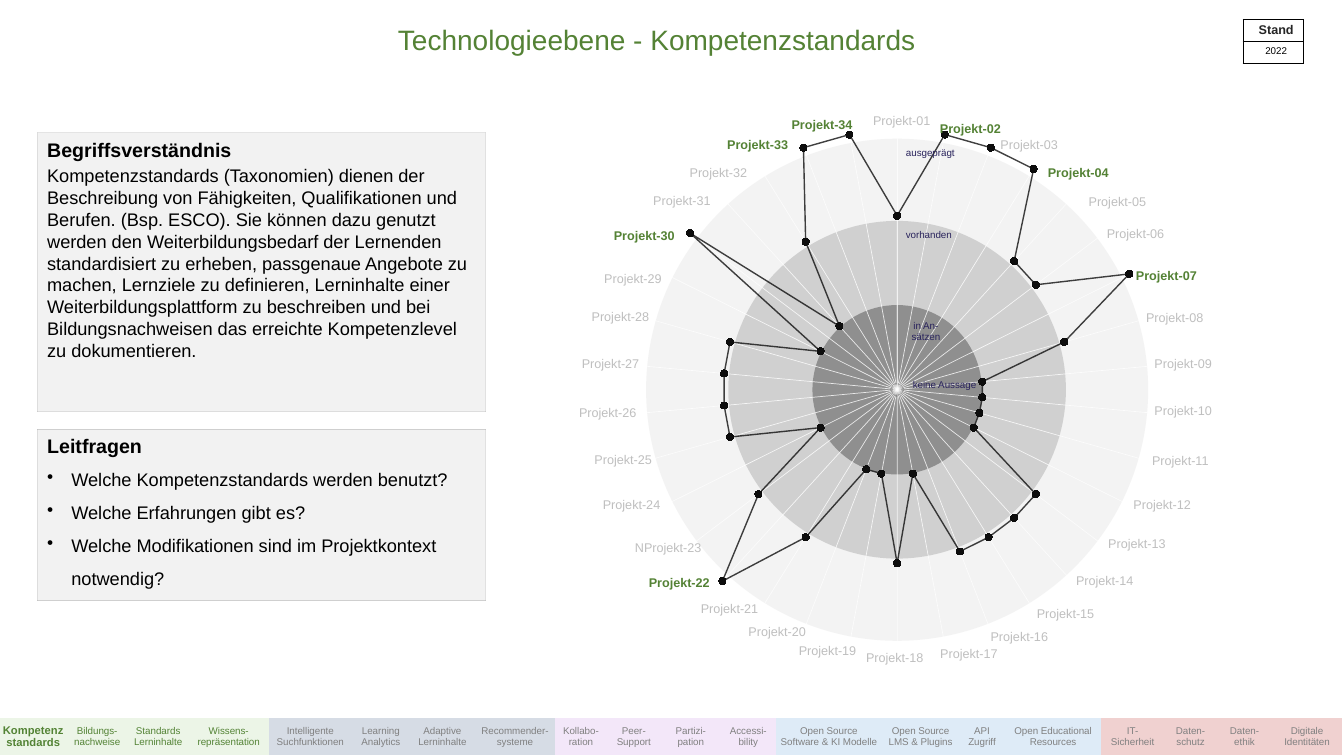
from dataclasses import dataclass
from lxml import etree
from pptx import Presentation
from pptx.chart.data import CategoryChartData
from pptx.dml.color import RGBColor
from pptx.enum.chart import XL_CHART_TYPE, XL_MARKER_STYLE, XL_TICK_LABEL_POSITION, XL_TICK_MARK
from pptx.enum.shapes import MSO_SHAPE
from pptx.enum.text import MSO_ANCHOR, MSO_AUTO_SIZE, PP_ALIGN
from pptx.oxml import parse_xml
from pptx.oxml.ns import nsdecls, qn
from pptx.util import Pt


@dataclass(frozen=True)
class Theme:
    font: str = "Arial"
    green: str = "548235"
    grey: str = "BFBFBF"
    navy: str = "29235C"
    black: str = "000000"
    dark: str = "262626"
    data: str = "0D0D0D"
    white: str = "FFFFFF"
    panel: str = "F2F2F2"
    border: str = "808080"
    title: int = 20
    heading: int = 14
    body: int = 13
    label: int = 9
    nav: int = 8
    small: int = 7


theme = Theme()


def write(paragraph, text, size, color, bold=False, align=PP_ALIGN.CENTER):
    paragraph.alignment = align
    for number, line in enumerate(text.split("\n")):
        if number:
            paragraph.add_line_break()
        run = paragraph.add_run()
        run.text = line
        run.font.name, run.font.size, run.font.bold = theme.font, Pt(size), bold
        run.font.color.rgb = RGBColor.from_string(color)


def paint(fill, color, opacity=100):
    fill.solid()
    fill.fore_color.rgb = RGBColor.from_string(color)
    if opacity < 100:
        tint = fill._xPr.find(".//" + qn("a:srgbClr"))
        etree.SubElement(tint, qn("a:alpha")).set("val", str(opacity * 1000))


prs = Presentation()
prs.slide_width, prs.slide_height = Pt(960), Pt(540)
slide = prs.slides.add_slide(prs.slide_layouts[6])
shapes = slide.shapes

# Title
title = shapes.add_textbox(Pt(0), Pt(12.2), Pt(944), Pt(31.7)).text_frame
title.word_wrap = True
write(title.paragraphs[0], "Technologieebene - Kompetenzstandards ", theme.title, theme.green)

# Rings behind the radar
center_x, center_y = 640.8, 278.4
for diameter, color in [(358.6, "F0F0F0"), (241.2, "C8C8C8"), (121, "7F7F7F"), (10, "404040")]:
    ring = shapes.add_shape(MSO_SHAPE.OVAL, Pt(center_x - diameter / 2), Pt(center_y - diameter / 2),
                            Pt(diameter), Pt(diameter))
    ring.shadow.inherit = False
    paint(ring.fill, color, 80)
    ring.line.fill.background()

# Radar
ratings = CategoryChartData()
ratings.categories = [str(n) for n in range(1, 35)]
ratings.add_series("Series 1", [
    67, 100, 100, 100, 67, 67, 100, 67, 33, 33, 33, 33, 67, 67, 67, 67, 33,
    67, 33, 33, 67, 100, 67, 33, 67, 67, 67, 67, 33, 100, 33, 67, 100, 100])
radar = shapes.add_chart(XL_CHART_TYPE.RADAR_MARKERS, Pt(445), Pt(85.7), Pt(391.7), Pt(385.2), ratings).chart
radar.has_legend = radar.has_title = False
radar.font.name, radar.font.size = "Calibri", Pt(18)
radar.font.color.rgb = RGBColor.from_string(theme.black)
radar.category_axis.visible = False
radar.category_axis.has_major_gridlines = False
scale = radar.value_axis
scale.minimum_scale, scale.maximum_scale, scale.major_unit = 0, 100, 33
scale.has_major_gridlines = False
scale.major_tick_mark = scale.minor_tick_mark = XL_TICK_MARK.NONE
scale.tick_label_position = XL_TICK_LABEL_POSITION.NONE
scale.format.line.width = Pt(0.5)
paint(scale.format.line.fill, theme.white, 80)
rating = radar.plots[0].series[0]
rating.smooth = False
rating.format.line.width = Pt(1)
paint(rating.format.line.fill, theme.data, 78)
rating.marker.style, rating.marker.size = XL_MARKER_STYLE.CIRCLE, 5
paint(rating.marker.format.fill, theme.data)
paint(rating.marker.format.line.fill, theme.data)
plot_area = radar.element.find(".//" + qn("c:plotArea"))
for old_layout in plot_area.findall(qn("c:layout")):
    plot_area.remove(old_layout)
plot_area.insert(0, parse_xml(
    f'<c:layout {nsdecls("c")}><c:manualLayout><c:layoutTarget val="inner"/>'
    '<c:xMode val="edge"/><c:yMode val="edge"/><c:x val="0.027"/><c:y val="0.019"/>'
    '<c:w val="0.946"/><c:h val="0.962"/></c:manualLayout></c:layout>'))

# Ring names and project names: text, left, top, width, height, size, colour, bold
labels = [(*ring_name, theme.small, theme.navy, False) for ring_name in [
    ("ausgeprägt", 640, 101.5, 49, 15.8), ("vorhanden", 639.4, 159.8, 48, 15.8),
    ("in An-\nsätzen", 643, 224.6, 36.7, 24.5), ("keine Aussage", 644.4, 267.1, 60.5, 15.8)]]
project_spots = [
    (616, 77), (664, 83), (707, 94), (741, 114), (770, 135), (783, 158), (804, 188),
    (811, 218), (817, 251), (817, 284), (815, 320), (802, 351), (784, 379), (761, 406),
    (733, 429), (700, 446), (664, 458), (611, 461), (563, 456), (527, 442), (493, 426),
    (456, 407), (446, 382), (423, 351), (417, 319), (406, 286), (408, 251), (415, 217),
    (424, 190), (431, 159), (459, 134), (485, 114), (512, 94), (558, 80)]
highlighted = {2, 4, 7, 22, 30, 33, 34}
for number, (left, top) in enumerate(project_spots, 1):
    strong = number in highlighted
    name = "NProjekt-23" if number == 23 else f"Projekt-{number:02}"
    width = 62.6 if number == 23 else 58.3 if strong else 56.2
    labels.append((name, left, top, width, 18, theme.label, theme.green if strong else theme.grey, strong))
for text, left, top, width, height, size, color, bold in labels:
    label = shapes.add_textbox(Pt(left), Pt(top), Pt(width), Pt(height)).text_frame
    label.word_wrap = False
    label.auto_size = MSO_AUTO_SIZE.SHAPE_TO_FIT_TEXT
    write(label.paragraphs[0], text, size, color, bold)

# Panels on the left
definition = (
    "Kompetenzstandards (Taxonomien) dienen der Beschreibung von Fähigkeiten, Qualifikationen und Berufen. "
    "(Bsp. ESCO). Sie können dazu genutzt werden den Weiterbildungsbedarf der Lernenden standardisiert zu "
    "erheben, passgenaue Angebote zu machen, Lernziele zu definieren, Lerninhalte einer "
    "Weiterbildungsplattform zu beschreiben und bei Bildungsnachweisen das erreichte Kompetenzlevel "
    "zu dokumentieren.")
questions = ["Welche Kompetenzstandards werden benutzt?", "Welche Erfahrungen gibt es?",
             "Welche Modifikationen sind im Projektkontext notwendig?"]
for heading, top, height, entries, bulleted in [
        ("Begriffsverständnis", 94.7, 199.5, [definition], False),
        ("Leitfragen", 306.7, 122.4, questions, True)]:
    panel = shapes.add_shape(MSO_SHAPE.RECTANGLE, Pt(26.6), Pt(top), Pt(320.4), Pt(height))
    panel.shadow.inherit = False
    paint(panel.fill, theme.panel)
    panel.line.width = Pt(0.25)
    paint(panel.line.fill, theme.border, 50)
    frame = panel.text_frame
    frame.word_wrap, frame.vertical_anchor = True, MSO_ANCHOR.TOP
    write(frame.paragraphs[0], heading, theme.heading, theme.black, True, PP_ALIGN.LEFT)
    for entry in entries:
        paragraph = frame.add_paragraph()
        write(paragraph, entry, theme.body, theme.black, align=PP_ALIGN.LEFT)
        if bulleted:
            paragraph.line_spacing = 1.5
            properties = paragraph._p.get_or_add_pPr()
            properties.set("marL", str(Pt(17.3)))
            properties.set("indent", str(Pt(-17.3)))
            etree.SubElement(properties, qn("a:buChar")).set("char", "•")
        else:
            paragraph.space_before = Pt(2.4)

# Date box and navigation bar: left, top, column widths, row height, insets, rows of (text, size, colour, bold, fill)
navigation = [
    ("ECF5E7", "538335", ["Kompetenz\nstandards", "Bildungs-\nnachweise", "Standards\nLerninhalte",
                          "Wissens-\nrepräsentation"]),
    ("D6DCE5", "808080", ["Intelligente\nSuchfunktionen", "Learning\nAnalytics", "Adaptive\nLerninhalte",
                          "Recommender-\nsysteme"]),
    ("F3E7F9", "808080", ["Kollabo-\nration", "Peer-\nSupport", "Partizi-\npation", "Accessi-\nbility"]),
    ("DEEBF7", "808080", ["Open Source\nSoftware & KI Modelle", "Open Source\nLMS & Plugins", "API\nZugriff",
                          "Open Educational\nResources"]),
    ("F0D1D0", "808080", ["IT-\nSicherheit", "Daten-\nschutz", "Daten-\nethik", "Digitale\nIdentitäten"])]
topics = [(topic, theme.small, color, False, fill) for fill, color, group in navigation for topic in group]
topics[0] = (topics[0][0], theme.nav, topics[0][2], True, topics[0][4])
topic_widths = [47.5, 43.9, 43.2, 57.6, 59, 41.8, 46.1, 57.6, 36.7, 38.9,
                42.5, 39.6, 75.6, 55.4, 32.4, 69.1, 44.6, 38.2, 38.9, 50.4]
date_rows = [[("Stand", theme.label, theme.dark, True, None)], [("2022", theme.small, theme.black, False, None)]]
for left, top, widths, row_height, insets, anchor, rows in [
        (887.8, 13.7, [43.2], 15.8, (4.3, 2.9, 0, 0), MSO_ANCHOR.TOP, date_rows),
        (0, 512.6, topic_widths, 26.6, (0.7, 0.7, 0.7, 0), MSO_ANCHOR.MIDDLE, [topics])]:
    holder = shapes.add_table(len(rows), len(widths), Pt(left), Pt(top), Pt(sum(widths)), Pt(row_height * len(rows)))
    # No Style, No Grid
    holder.element.find(".//" + qn("a:tableStyleId")).text = "{2D5ABB26-0587-4C30-8999-92F81FD0307C}"
    table = holder.table
    table.first_row = table.horz_banding = False
    for column, width in zip(table.columns, widths):
        column.width = Pt(width)
    for row, entries in zip(table.rows, rows):
        row.height = Pt(row_height)
        for cell, (text, size, color, bold, fill) in zip(row.cells, entries):
            cell.margin_left, cell.margin_top, cell.margin_right, cell.margin_bottom = map(Pt, insets)
            cell.vertical_anchor = anchor
            write(cell.text_frame.paragraphs[0], text, size, color, bold)
            if fill:
                paint(cell.fill, fill)
                continue
            for side in ("lnL", "lnR", "lnT", "lnB"):
                cell._tc.get_or_add_tcPr().append(parse_xml(
                    f'<a:{side} {nsdecls("a")} w="{Pt(0.5)}"><a:solidFill>'
                    f'<a:srgbClr val="{theme.black}"/></a:solidFill></a:{side}>'))

prs.save("out.pptx")
